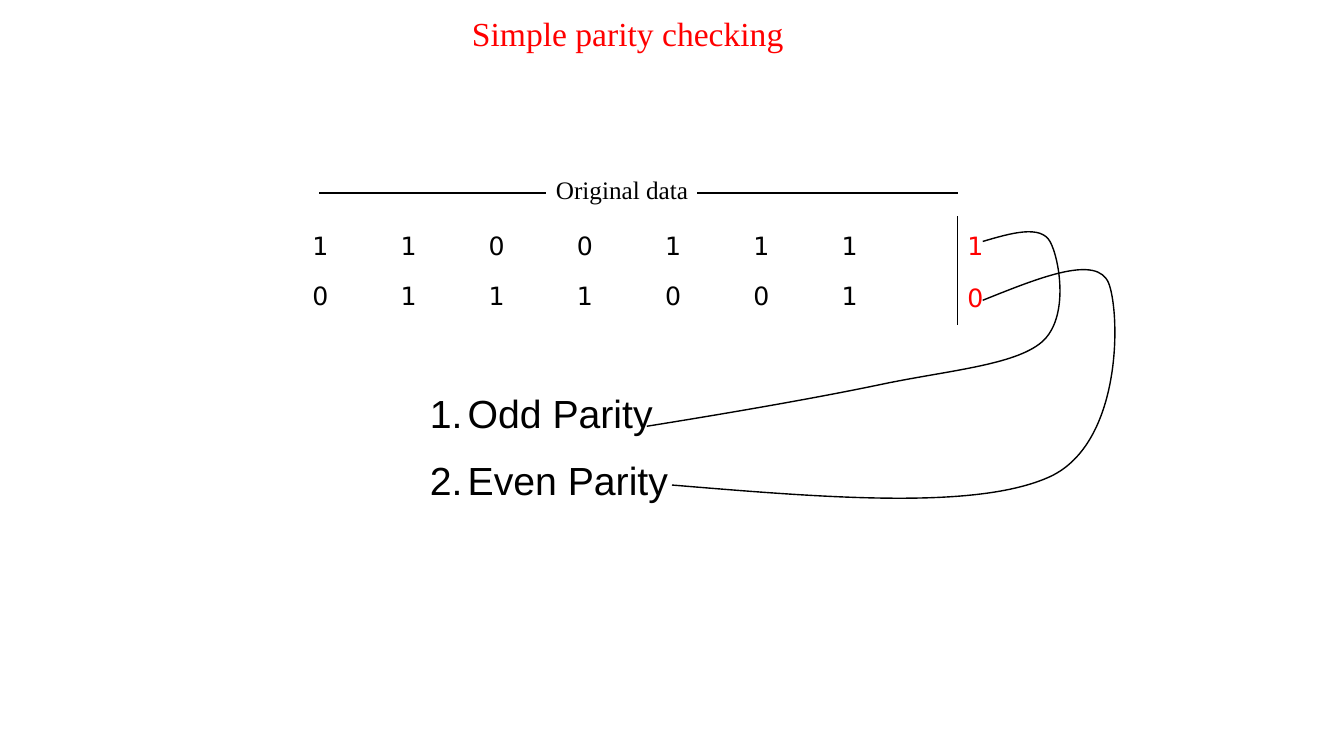
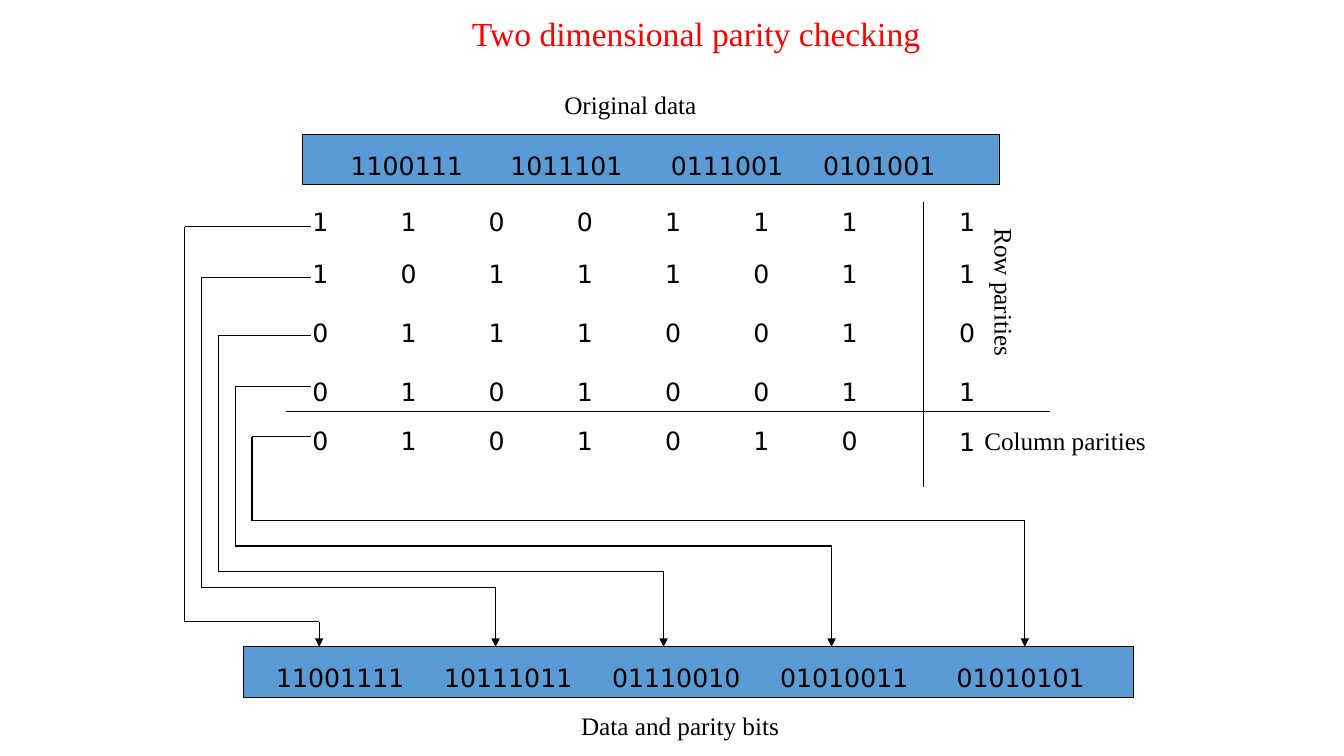
from itertools import chain, pairwise

from lxml.etree import SubElement
from pptx import Presentation
from pptx.dml.color import RGBColor
from pptx.enum.shapes import MSO_CONNECTOR, MSO_SHAPE
from pptx.enum.text import MSO_ANCHOR, PP_ALIGN
from pptx.oxml.ns import qn
from pptx.util import Pt

# Shared look: lengths are px, 96 to the inch
PX = 9525
COLORS = {"ink": "000000", "accent": "FF0000", "bar": "5B9BD5"}
SERIF, SANS, DIGITS = "Times New Roman", "Arial", "DejaVu Sans"
TITLE_LEFT, TITLE_TOP = 440, 8
LINE_HEIGHT = 38
BITS_LEFT, BITS_WIDTH, BIT_PITCH = 288, 600, 84

# Slide 1: bits, their top, parity bit, its top
SIMPLE_TITLE = "Simple parity checking"
SIMPLE_ROWS = [("1100111", 215, "1", 215), ("0111001", 262, "0", 264)]
SIMPLE_PARITY_LEFT = 912
SIMPLE_RULES = [
    ((912, 206), (912, 310)),
    ((304, 184), (520, 184)),
    ((664, 184), (912, 184)),
]
PARITY_KINDS = ["Odd Parity", "Even Parity"]
# Start point, then Bézier pieces: two control points and an end point
PARITY_CURVES = [
    ((616, 406), [
        ((697, 393), (778, 379), (840, 366)),
        ((902, 353), (966, 348), (992, 326)),
        ((1019, 303), (1009, 246), (1000, 230)),
        ((991, 214), (963, 222), (936, 230)),
    ]),
    ((640, 462), [
        ((785, 474), (930, 486), (1000, 454)),
        ((1069, 422), (1067, 299), (1056, 270)),
        ((1045, 242), (991, 264), (936, 286)),
    ]),
]

# Slide 2
GRID_TITLE = "Two dimensional parity checking"
GRID_ROWS = [
    ("1100111", 192, "1", 192),
    ("1011101", 241, "1", 241),
    ("0111001", 297, "0", 297),
    ("0101001", 354, "1", 354),
    ("0101010", 400, "1", 401),
]
GRID_PARITY_LEFT = 904
GRID_RULES = [((272, 392), (1000, 392)), ((880, 192), (880, 464))]
GRID_LABELS = [
    ("Original data", (528, 80, 184)),
    ("Column parities", (928, 400, 176)),
    ("Data and parity bits", (544, 672, 248)),
]
# Box, inset of the first word, words, tab stops of the other words
BARS = [
    ((288, 128, 664, 48), 46,
     ["1100111", "1011101", "0111001", "0101001"], [152, 305, 450]),
    ((232, 616, 848, 48), 31,
     ["11001111", "10111011", "01110010", "01010011", "01010101"],
     [160, 320, 480, 648]),
]
# Each wire: row height, height of the lower run, x of its arrow
WIRES = [(216, 592, 304), (264, 560, 472), (320, 544, 632),
         (368, 520, 792), (416, 496, 976)]
WIRE_START, LANE_LEFT, LANE_PITCH, WIRE_END = 296, 176, 16, 616


def color(name):
    return RGBColor.from_string(COLORS[name])


def style(paragraph, font, size, ink="ink"):
    for run in paragraph.runs:
        run.font.name = font
        run.font.size = Pt(size)
        run.font.color.rgb = color(ink)


def set_tabs(paragraph, stops):
    tabs = SubElement(paragraph._p.get_or_add_pPr(), qn("a:tabLst"))
    for stop in stops:
        SubElement(tabs, qn("a:tab"), pos=str(stop * PX), algn="l")


def add_text(slide, text, left, top, width, height=LINE_HEIGHT,
             font=SERIF, size=18, ink="ink"):
    box = slide.shapes.add_textbox(left * PX, top * PX, width * PX, height * PX)
    frame = box.text_frame
    frame.word_wrap = True
    frame.text = text
    for paragraph in frame.paragraphs:
        style(paragraph, font, size, ink)
    return frame


def add_line(slide, start, end, weight, arrow=False):
    line = slide.shapes.add_connector(
        MSO_CONNECTOR.STRAIGHT, *(value * PX for value in (*start, *end)))
    line.line.color.rgb = color("ink")
    line.line.width = Pt(weight)
    if arrow:
        SubElement(line.line._get_or_add_ln(), qn("a:tailEnd"), type="triangle")
    SubElement(line._element.spPr, qn("a:effectLst"))


def add_bit_rows(slide, rows, parity_left, parity_ink):
    for bits, top, parity, parity_top in rows:
        frame = add_text(slide, "\t".join(bits), BITS_LEFT, top, BITS_WIDTH,
                         font=DIGITS)
        set_tabs(frame.paragraphs[0],
                 [BIT_PITCH * column for column in range(1, len(bits))])
        add_text(slide, parity, parity_left, parity_top, 48,
                 font=DIGITS, ink=parity_ink)


def add_bar(slide, box, inset, words, stops):
    bar = slide.shapes.add_shape(MSO_SHAPE.RECTANGLE,
                                 *(value * PX for value in box))
    bar.shadow.inherit = False
    bar.fill.solid()
    bar.fill.fore_color.rgb = color("bar")
    bar.line.color.rgb = color("ink")
    bar.line.width = Pt(0.75)
    frame = bar.text_frame
    frame.vertical_anchor = MSO_ANCHOR.MIDDLE
    frame.margin_left, frame.margin_right = inset * PX, 0
    frame.margin_top, frame.margin_bottom = 11 * PX, 0
    frame.text = "\t".join(words)
    paragraph = frame.paragraphs[0]
    paragraph.alignment = PP_ALIGN.LEFT
    set_tabs(paragraph, stops)
    style(paragraph, DIGITS, 18)


def add_curve(slide, start, pieces):
    builder = slide.shapes.build_freeform(*start, scale=PX)
    builder.add_line_segments(chain.from_iterable(pieces), close=False)
    curve = builder.convert_to_shape()
    # Every three straight segments become one Bézier piece
    outline = next(curve._element.iter(qn("a:path")))
    segments = outline.findall(qn("a:lnTo"))
    for first in range(0, len(segments), 3):
        piece = SubElement(outline, qn("a:cubicBezTo"))
        for segment in segments[first:first + 3]:
            piece.append(segment[0])
            outline.remove(segment)
    curve.shadow.inherit = False
    curve.fill.background()
    curve.line.color.rgb = color("ink")
    curve.line.width = Pt(1)


def add_slide(deck, title, title_width):
    slide = deck.slides.add_slide(deck.slide_layouts[6])
    add_text(slide, title, TITLE_LEFT, TITLE_TOP, title_width, 48,
             size=24, ink="accent")
    return slide


def build_simple(deck):
    slide = add_slide(deck, SIMPLE_TITLE, 328)
    add_text(slide, "Original data", 520, 161, 160)
    add_bit_rows(slide, SIMPLE_ROWS, SIMPLE_PARITY_LEFT, "accent")
    for start, end in SIMPLE_RULES:
        add_line(slide, start, end, 1)

    # Numbered kinds of parity, each joined to its bit
    kinds = add_text(slide, "\n".join(PARITY_KINDS), 400, 366, 448, 122,
                     font=SANS, size=28)
    for index, paragraph in enumerate(kinds.paragraphs):
        if index:
            paragraph.space_before = Pt(14.5)
        properties = paragraph._p.get_or_add_pPr()
        properties.set("marL", str(36 * PX))
        properties.set("indent", str(-36 * PX))
        SubElement(properties, qn("a:buAutoNum"), type="arabicPeriod")
    for start, pieces in PARITY_CURVES:
        add_curve(slide, start, pieces)


def build_grid(deck):
    slide = add_slide(deck, GRID_TITLE, 496)
    for bar in BARS:
        add_bar(slide, *bar)
    add_bit_rows(slide, GRID_ROWS, GRID_PARITY_LEFT, "ink")
    for start, end in GRID_RULES:
        add_line(slide, start, end, 0.75)

    # Labels
    for label, place in GRID_LABELS:
        add_text(slide, label, *place)
    row_label = add_text(slide, "Row parities", 928, 208, 48, 160)
    row_label._txBody.bodyPr.set("vert", "eaVert")

    # Wires from each row to its word in the lower bar
    for index, (row_y, turn_y, target_x) in enumerate(WIRES):
        lane_x = LANE_LEFT + LANE_PITCH * index
        corners = [(WIRE_START, row_y), (lane_x, row_y), (lane_x, turn_y),
                   (target_x, turn_y), (target_x, WIRE_END)]
        for start, end in pairwise(corners):
            add_line(slide, start, end, 0.75, arrow=end == corners[-1])


def main():
    deck = Presentation()
    deck.slide_width, deck.slide_height = 1280 * PX, 720 * PX
    build_simple(deck)
    build_grid(deck)
    deck.save("out.pptx")


if __name__ == "__main__":
    main()
